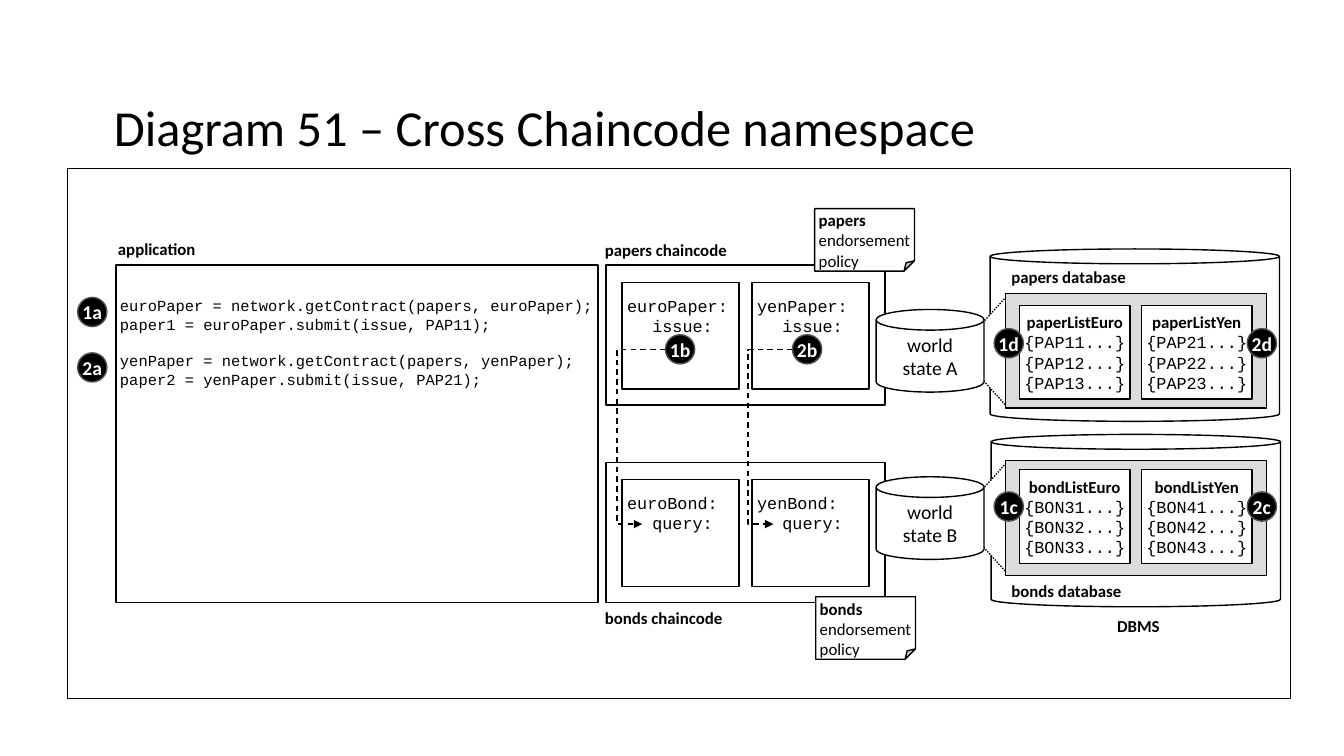
from dataclasses import dataclass, replace

from pptx import Presentation
from pptx.dml.color import RGBColor
from pptx.enum.dml import MSO_LINE
from pptx.enum.shapes import MSO_CONNECTOR, MSO_SHAPE
from pptx.enum.text import MSO_ANCHOR, PP_ALIGN
from pptx.oxml.ns import qn
from pptx.util import Inches, Pt
from lxml.etree import SubElement


@dataclass(frozen=True)
class TextStyle:
    font: str
    size: int
    bold: bool = False
    color: str = "000000"


class Theme:
    black = "000000"
    white = "FFFFFF"
    gray = "DCDCDC"
    badge_edge = "535353"
    title = TextStyle("Calibri", 36)
    body = TextStyle("Calibri", 12)
    label = replace(body, bold=True)
    state = replace(body, size=14)
    badge = TextStyle("Calibri", 14, True, white)
    code = TextStyle("Courier New", 12)
    listing = replace(code, size=11)


class Diagram:
    def __init__(self, slide, theme):
        self.slide = slide
        self.theme = theme

    def set_text(self, sp, lines, align=PP_ALIGN.LEFT, anchor=MSO_ANCHOR.MIDDLE,
                 insets=(0.05, 0.05, 0.05, 0.05), wrap=True):
        tf = sp.text_frame
        tf.word_wrap = wrap
        tf.vertical_anchor = anchor
        tf.margin_left, tf.margin_top, tf.margin_right, tf.margin_bottom = map(Inches, insets)
        tf.text = "\n".join(text for text, style in lines)
        for p, (text, style) in zip(tf.paragraphs, lines):
            p.alignment = align
            p.font.name = style.font
            p.font.size = Pt(style.size)
            p.font.bold = style.bold
            p.font.color.rgb = RGBColor.from_string(style.color)
        return tf.paragraphs

    def title(self, text):
        sp = self.slide.shapes.title
        sp.left, sp.top, sp.width, sp.height = map(Inches, (1.08, 0.57, 11.5, 1.45))
        p = self.set_text(sp, [(text, self.theme.title)])[0]
        p.line_spacing = 0.9

    def shape(self, kind, x, y, w, h, fill=Theme.white, line=Theme.black):
        sp = self.slide.shapes.add_shape(kind, Inches(x), Inches(y), Inches(w), Inches(h))
        sp.shadow.inherit = False
        if fill:
            sp.fill.solid()
            sp.fill.fore_color.rgb = RGBColor.from_string(fill)
        else:
            sp.fill.background()
        sp.line.color.rgb = RGBColor.from_string(line)
        sp.line.width = Pt(1)
        return sp

    def box(self, x, y, w, h, fill=Theme.white):
        return self.shape(MSO_SHAPE.RECTANGLE, x, y, w, h, fill)

    def label(self, text, x, y, w):
        sp = self.slide.shapes.add_textbox(Inches(x), Inches(y), Inches(w), Inches(0.3))
        self.set_text(sp, [(text, self.theme.label)], anchor=MSO_ANCHOR.TOP, wrap=False)

    def badge(self, text, x, y):
        sp = self.shape(MSO_SHAPE.OVAL, x, y, 0.29, 0.29, self.theme.black, self.theme.badge_edge)
        self.set_text(sp, [(text, self.theme.badge)], PP_ALIGN.CENTER,
                      insets=(0, 0.05, 0, 0.05), wrap=False)

    def application(self, statements):
        sp = self.box(1.15, 2.63, 4.78, 3.35)
        lines = [(line, self.theme.listing) for pair in statements for line in pair]
        paragraphs = self.set_text(sp, lines, anchor=MSO_ANCHOR.TOP, insets=(0.04, 0.31, 0, 0.05))
        for p in paragraphs[2::2]:
            p.space_before = Pt(13)

    def contract(self, name, action, x, y):
        lines = [(text, self.theme.code) for text in (name, action)]
        paragraphs = self.set_text(self.box(x, y, 1.16, 1.06), lines, anchor=MSO_ANCHOR.TOP,
                                   insets=(0.05, 0.13, 0.05, 0.05))
        pPr = paragraphs[1]._p.get_or_add_pPr()
        pPr.set("marL", str(Inches(0.25)))
        pPr.set("indent", "0")

    def note(self, subject, x, y, top, bottom):
        lines = [(subject, self.theme.label), ("endorsement", self.theme.body),
                 ("policy", self.theme.body)]
        sp = self.shape(MSO_SHAPE.FOLDED_CORNER, x, y, 0.99, 0.62)
        self.set_text(sp, lines, insets=(0.04, top, 0.04, bottom))

    def database(self, x, y):
        self.shape(MSO_SHAPE.CAN, x, y, 2.87, 1.71).adjustments[0] = 0.086

    def zoom(self, y):
        sp = self.shape(MSO_SHAPE.TRAPEZOID, 9.21, y, 1.14, 0.45)
        sp.rotation = 270
        sp.adjustments[0] = 1.11
        sp.line.dash_style = MSO_LINE.ROUND_DOT

    def world_state(self, name, y):
        sp = self.shape(MSO_SHAPE.CAN, 8.69, y, 1.07, 0.82)
        lines = [(text, self.theme.state) for text in ("world", name)]
        self.set_text(sp, lines, PP_ALIGN.CENTER)

    def state_list(self, name, keys, x, y):
        lines = [(name, self.theme.label)]
        lines += [(f"{{{key}...}}", self.theme.code) for key in keys]
        self.set_text(self.box(x, y, 1.1, 0.93), lines, PP_ALIGN.CENTER,
                      insets=(0, 0.05, 0, 0.05))

    def call(self, x1, y1, x2, y2, bend_x):
        cx = self.slide.shapes.add_connector(
            MSO_CONNECTOR.ELBOW, Inches(x1), Inches(y1), Inches(x2), Inches(y2))
        cx.line.color.rgb = RGBColor.from_string(self.theme.black)
        cx.line.width = Pt(1)
        cx.line.dash_style = MSO_LINE.DASH
        SubElement(cx.line._get_or_add_ln(), qn("a:tailEnd"), type="triangle")
        spPr = cx._element.spPr
        SubElement(spPr, qn("a:effectLst"))
        guides = spPr.find(qn("a:prstGeom")).get_or_add_avLst()
        bend = round((x1 - bend_x) / (x1 - x2) * 100000)
        SubElement(guides, qn("a:gd"), name="adj1", fmla=f"val {bend}")


def main():
    prs = Presentation()
    prs.slide_width, prs.slide_height = Inches(13.33), Inches(7.5)
    d = Diagram(prs.slides.add_slide(prs.slide_layouts[5]), Theme)

    d.title("Diagram 51 – Cross Chaincode namespace")
    d.box(0.67, 1.67, 12.13, 5.26, None)
    d.application([
        ("euroPaper = network.getContract(papers, euroPaper);",
         "paper1 = euroPaper.submit(issue, PAP11);"),
        ("yenPaper = network.getContract(papers, yenPaper);",
         "paper2 = yenPaper.submit(issue, PAP21);"),
    ])

    chaincodes = [
        dict(kind="Paper", action="issue:", top=2.63, note=(8.08, 2.07, 0.16, 0.05),
             database=(9.82, 2.47), zoom=3.26, state="state A", state_y=3.07,
             panel=2.91, lists=3.03, key="PAP", step="d", badge=3.26),
        dict(kind="Bond", action="query:", top=4.59, note=(8.09, 5.92, 0.12, 0),
             database=(9.83, 4.31), zoom=4.91, state="state B", state_y=4.73,
             panel=4.57, lists=4.66, key="BON", step="c", badge=4.88),
    ]
    currencies = [("Euro", 6.17, 10.11, 9.86), ("Yen", 7.46, 11.32, 12.37)]
    first_key = 1
    for c in chaincodes:
        d.database(*c["database"])
        d.zoom(c["zoom"])
        d.box(6.01, c["top"], 2.77, 1.39)
        d.box(9.97, c["panel"], 2.59, 1.14, Theme.gray)
        for i, (currency, contract_x, list_x, badge_x) in enumerate(currencies):
            d.contract(f"{currency.lower()}{c['kind']}:", c["action"], contract_x, c["top"] + 0.17)
            keys = [f"{c['key']}{first_key + i}{n}" for n in (1, 2, 3)]
            d.state_list(f"{c['kind'].lower()}List{currency}", keys, list_x, c["lists"])
            d.badge(f"{i + 1}{c['step']}", badge_x, c["badge"])
        d.note(c["kind"].lower() + "s", *c["note"])
        d.world_state(c["state"], c["state_y"])
        first_key += len(currencies)

    for text, x, y, w in [
        ("application", 1.12, 2.32, 0.88), ("papers chaincode", 5.95, 2.33, 1.33),
        ("bonds chaincode", 5.95, 5.98, 1.28), ("papers database", 9.98, 2.6, 1.25),
        ("bonds database", 9.98, 5.71, 1.21), ("DBMS", 11.03, 6.06, 0.53),
    ]:
        d.label(text, x, y, w)

    d.call(6.6, 3.47, 6.37, 5.2, 6.12)
    d.call(7.86, 3.47, 7.67, 5.2, 7.42)
    for text, x, y in [("1a", 0.77, 2.95), ("2a", 0.77, 3.5), ("1b", 6.6, 3.32), ("2b", 7.86, 3.32)]:
        d.badge(text, x, y)

    prs.save("out.pptx")


if __name__ == "__main__":
    main()
